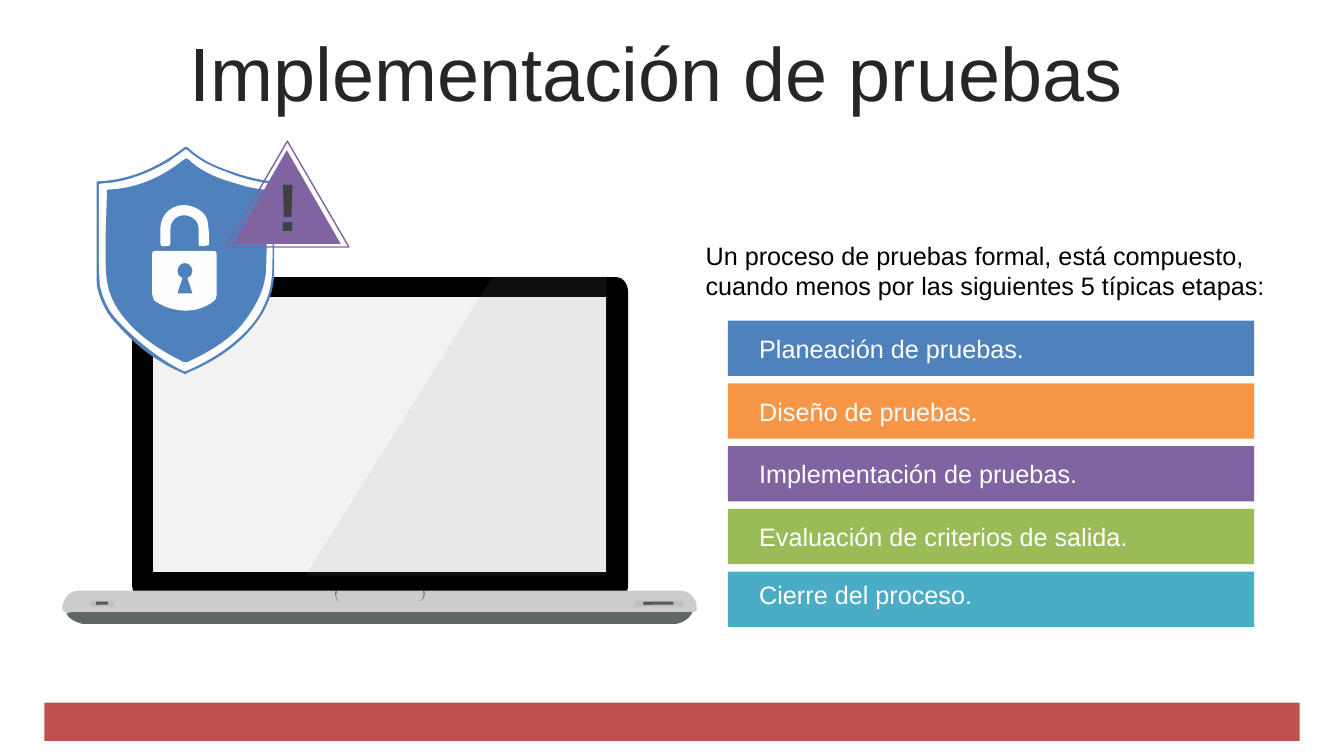
from pptx import Presentation
from pptx.dml.color import RGBColor
from pptx.enum import shapes, text
from pptx.oxml import parse_xml
from pptx.oxml.ns import nsdecls, qn
from pptx.util import Inches, Pt

FONT = "Arial"
WHITE = RGBColor(0xFF, 0xFF, 0xFF)
BLACK = RGBColor(0x00, 0x00, 0x00)
TITLE_INK = RGBColor(0x26, 0x26, 0x26)
MARK_INK = RGBColor(0x40, 0x40, 0x40)
RED = RGBColor(0xC0, 0x50, 0x4D)
BLUE = RGBColor(0x4F, 0x81, 0xBD)
ORANGE = RGBColor(0xF7, 0x96, 0x46)
PURPLE = RGBColor(0x80, 0x64, 0xA2)
GREEN = RGBColor(0x9B, 0xBB, 0x59)
TEAL = RGBColor(0x4B, 0xAC, 0xC6)
SHIELD_WHITE = RGBColor(0xFE, 0xFE, 0xFE)
UNDERSIDE_GRAY = RGBColor(0x5F, 0x67, 0x67)
SCREEN_GRAY = RGBColor(0xF2, 0xF2, 0xF2)
BASE_GRAY = RGBColor(0xCC, 0xCC, 0xCC)
NOTCH_GRAY = RGBColor(0x4D, 0x4D, 0x4D)
PORT_GRAY = RGBColor(0xBF, 0xBF, 0xBF)
SLOT_GRAY = RGBColor(0x59, 0x59, 0x59)
GLARE_GRAY = RGBColor(0x99, 0x99, 0x99)

# Outlines in inches from the corner of their region: M move, L line, C cubic curve.
UNDERSIDE = """M 6.1 3.49 C 6.1 3.49 6.22 3.48 6.27 3.37 C 6.27 3.34 6.25 3.32 6.21 3.32
    L .2 3.34 L .12 3.34 C .09 3.34 .06 3.36 .06 3.39 C .1 3.46 .18 3.48 .22 3.49"""
LID = """M 5.63 3.1 C 5.63 3.18 5.58 3.25 5.52 3.25 L .82 3.25 C .76 3.25 .71 3.18 .71 3.1
    L .71 .2 C .71 .12 .76 .05 .82 .05 L 5.52 .05 C 5.58 .05 5.63 .12 5.63 .2"""
SCREEN = "M .92 .25 L 5.41 .25 L 5.41 2.98 L .92 2.98"
BASE = """M .18 3.16 L 6.15 3.16 C 6.24 3.16 6.31 3.24 6.31 3.32 L 6.31 3.35
    C 6.31 3.35 6.32 3.38 6.25 3.37 L .11 3.37 C .09 3.37 .09 3.37 .08 3.38
    C .06 3.38 .03 3.38 .02 3.35 L .02 3.32 C .03 3.23 .09 3.16 .18 3.16"""
NOTCH = """M 3.6 3.16 L 3.61 3.16 C 3.62 3.25 3.57 3.26 3.55 3.26 C 3.58 3.26 3.61 3.24 3.6 3.17
    M 2.73 3.16 L 2.74 3.17 C 2.74 3.17 2.71 3.24 2.77 3.27 C 2.71 3.25 2.73 3.16 2.73 3.16"""
GLARE = "M 4.29 .04 L 5.42 .04 L 5.42 3.01 L 2.43 3.01"
SHIELD_EDGE = """M .93 2.31 C .85 2.27 .77 2.24 .7 2.19 C .5 2.08 .31 1.88 .2 1.75
    C .11 1.63 .06 1.47 .06 1.4 L .06 .4 C .39 .39 .67 .26 .92 .07 C .94 .05 .95 .05 .97 .07
    C 1.09 .18 1.23 .25 1.39 .3 C 1.52 .35 1.65 .38 1.79 .4 C 1.81 .4 1.83 .4 1.83 .43
    C 1.82 .72 1.82 1 1.82 1.29 C 1.82 1.54 1.71 1.74 1.55 1.91
    C 1.39 2.08 1.19 2.2 .98 2.29 C .97 2.3 .95 2.3 .94 2.31"""
SHIELD_BAND = """M .08 .91 L .08 .45 C .08 .43 .08 .42 .11 .42 C .35 .41 .57 .32 .78 .2
    C .83 .16 .88 .13 .93 .09 C .94 .08 .95 .08 .96 .09 C 1.07 .19 1.19 .25 1.33 .3
    C 1.47 .36 1.62 .4 1.77 .42 C 1.8 .42 1.81 .43 1.8 .46 C 1.8 .74 1.81 1.03 1.8 1.3
    C 1.79 1.5 1.72 1.67 1.6 1.82 C 1.42 2.03 1.2 2.17 .95 2.28 C .94 2.28 .93 2.29 .92 2.28
    C .66 2.16 .38 1.91 .25 1.76 C .14 1.64 .1 1.48 .09 1.42 C .08 1.27 .08 1.07 .08 .91"""
SHIELD_FIELD = """M 1.74 .51 C 1.74 .64 1.75 .98 1.74 1.24 C 1.74 1.47 1.62 1.67 1.49 1.83
    C 1.36 1.98 1.16 2.1 .96 2.19 C .95 2.19 .94 2.19 .92 2.19 C .7 2.08 .49 1.95 .33 1.75
    C .24 1.64 .18 1.52 .16 1.38 C .13 1.17 .16 .66 .16 .51 C .16 .49 .15 .48 .18 .48
    C .44 .47 .68 .37 .89 .21 C .91 .2 .93 .17 .95 .17 C .97 .17 .98 .2 1 .21
    C 1.13 .32 1.29 .38 1.44 .42 C 1.53 .45 1.62 .47 1.71 .48 C 1.73 .48 1.74 .49 1.74 .51"""
LOCK_BODY = """M .93 1.21 C .89 1.21 .86 1.25 .86 1.29 C .86 1.32 .88 1.35 .91 1.36
    L .86 1.51 L 1.01 1.51 L .96 1.36 C .99 1.35 1.01 1.32 1.01 1.29 C 1.01 1.25 .98 1.21 .93 1.21
    M .64 1.09 L 1.22 1.09 C 1.24 1.09 1.25 1.1 1.25 1.12 L 1.25 1.52
    C 1.25 1.55 1.24 1.56 1.23 1.58 C 1.13 1.66 1.02 1.69 .9 1.68 C .8 1.67 .71 1.64 .63 1.58
    C .62 1.56 .61 1.55 .61 1.52 L .61 1.12 C .61 1.1 .61 1.09 .64 1.09"""
SHACKLE = """M 1.16 .81 C 1.17 .87 1.18 .99 1.17 1.03 C 1.14 1.05 1.12 1.04 1.09 1.04
    C 1.08 1.05 1.07 1.04 1.07 1.02 L 1.07 .87 C 1.07 .8 1.03 .76 .96 .74
    C .87 .72 .79 .78 .79 .87 L .79 1.02 C .79 1.04 .78 1.04 .76 1.04
    C .69 1.05 .69 1.05 .69 .98 L .69 .87 C .69 .72 .82 .61 .97 .64 C 1.08 .66 1.16 .74 1.16 .81"""

STAGES = [
    ("Planeación de pruebas.", BLUE),
    ("Diseño de pruebas.", ORANGE),
    ("Implementación de pruebas.", PURPLE),
    ("Evaluación de criterios de salida.", GREEN),
    ("Cierre del proceso.", TEAL),
]


def paint(shape, fill, line=None):
    shape.shadow.inherit = False
    if fill is None:
        shape.fill.background()
    else:
        shape.fill.solid()
        shape.fill.fore_color.rgb = fill
    if line is None:
        shape.line.fill.background()
    else:
        shape.line.color.rgb = line
        shape.line.width = Pt(1)
    return shape


def add_preset(slide, kind, box, fill, line=None):
    shape = slide.shapes.add_shape(kind, *map(Inches, box))
    return paint(shape, fill, line)


def bend(shape, letters):
    """Turn each run of three segments whose command is C into one cubic curve."""
    segments = iter(list(shape._element.iter(qn("a:lnTo"))))
    for letter in letters:
        segment = next(segments)
        if letter == "C":
            segment.tag = qn("a:cubicBezTo")
            for follower in (next(segments), next(segments)):
                segment.append(follower[0])
                follower.getparent().remove(follower)


def add_outline(slide, left, top, outline, fill):
    """Draw closed contours measured in inches from left, top."""
    contours, letters = [], []
    for command in outline.replace("M", "|M").replace("L", "|L").replace("C", "|C").split("|")[1:]:
        letter, *numbers = command.split()
        values = [float(number) * 1000 for number in numbers]
        points = list(zip(values[::2], values[1::2]))
        if letter == "M":
            contours.append(points)
        else:
            contours[-1] += points
            letters.append(letter)

    builder = slide.shapes.build_freeform(*contours[0][0], scale=Inches(1) / 1000)
    for index, contour in enumerate(contours):
        if index:
            builder.move_to(*contour[0])
        builder.add_line_segments(contour[1:], close=True)
    shape = builder.convert_to_shape(Inches(left), Inches(top))
    bend(shape, letters)
    return paint(shape, fill)


def write(shape, words, size, color, align=text.PP_ALIGN.LEFT, anchor=text.MSO_ANCHOR.MIDDLE, bold=False):
    frame = shape.text_frame
    frame.word_wrap = True
    frame.vertical_anchor = anchor
    paragraph = frame.paragraphs[0]
    paragraph.alignment = align
    run = paragraph.add_run()
    run.text = words
    run.font.name, run.font.size, run.font.bold = FONT, Pt(size), bold
    run.font.color.rgb = color
    return paragraph


def add_title(slide, box):
    title = slide.shapes.add_textbox(*map(Inches, box))
    paragraph = write(title, "Implementación de pruebas", 54, TITLE_INK, text.PP_ALIGN.CENTER)
    paragraph.line_spacing = 0.9


def add_laptop(slide, left, top):
    for outline, fill in ((UNDERSIDE, UNDERSIDE_GRAY), (LID, BLACK), (SCREEN, SCREEN_GRAY),
                          (BASE, BASE_GRAY), (NOTCH, NOTCH_GRAY)):
        add_outline(slide, left, top, outline, fill)
    for x, width, slot_x, slot_width in ((0.3, 0.23, 0.35, 0.12), (5.69, 0.48, 5.78, 0.3)):
        for box, fill in (((left + x, top + 3.26, width, 0.06), PORT_GRAY),
                          ((left + slot_x, top + 3.27, slot_width, 0.03), SLOT_GRAY)):
            port = add_preset(slide, shapes.MSO_SHAPE.ROUNDED_RECTANGLE, box, fill)
            port.adjustments[0] = 0.28
    glare = add_outline(slide, left, top, GLARE, GLARE_GRAY)
    color = glare.fill._xPr.find(qn("a:solidFill"))[0]
    color.append(parse_xml(f'<a:alpha {nsdecls("a")} val="10000"/>'))


def add_shield(slide, left, top):
    for outline, fill in ((SHIELD_EDGE, BLUE), (SHIELD_BAND, SHIELD_WHITE), (SHIELD_FIELD, BLUE),
                          (LOCK_BODY, SHIELD_WHITE), (SHACKLE, SHIELD_WHITE)):
        add_outline(slide, left, top, outline, fill)


def add_warning(slide, left, top):
    triangle = shapes.MSO_SHAPE.ISOSCELES_TRIANGLE
    add_preset(slide, triangle, (left + 0.07, top + 0.09, 1.07, 0.93), PURPLE)
    add_preset(slide, triangle, (left, top, 1.22, 1.05), None, PURPLE)
    mark = slide.shapes.add_textbox(*map(Inches, (left + 0.28, top + 0.05, 0.67, 1.15)))
    write(mark, "!", 48, MARK_INK, text.PP_ALIGN.CENTER, bold=True)


def add_intro(slide, box):
    intro = slide.shapes.add_textbox(*map(Inches, box))
    write(intro, "Un proceso de pruebas formal, está compuesto, cuando menos por las siguientes "
          "5 típicas etapas:", 18, BLACK, anchor=text.MSO_ANCHOR.TOP)


def add_stages(slide, left, top, width, height):
    bar_height = 0.55
    pitch = (height - bar_height) / (len(STAGES) - 1)
    for index, (words, fill) in enumerate(STAGES):
        bar = add_preset(slide, shapes.MSO_SHAPE.RECTANGLE,
                         (left, top + index * pitch, width, bar_height), fill)
        write(bar, words, 18, WHITE)
        bar.text_frame.margin_left = Inches(0.31)
    bar.text_frame.margin_bottom = Inches(0.14)  # the last label sits slightly higher


def add_footer(slide, left, top, width, height):
    rectangle = shapes.MSO_SHAPE.RECTANGLE
    add_preset(slide, rectangle, (left, top, width, height), RED)
    add_preset(slide, rectangle, (left + 8.3, top + 0.04, 4.03, 0.27), RED, RED)


def main():
    presentation = Presentation()
    presentation.slide_width, presentation.slide_height = Inches(13.33), Inches(7.5)
    slide = presentation.slides.add_slide(presentation.slide_layouts[6])
    add_footer(slide, 0.44, 6.97, 12.45, 0.38)
    add_laptop(slide, 0.6, 2.7)
    add_title(slide, (0, 0.37, 13.01, 0.79))
    add_shield(slide, 0.9, 1.4)
    add_warning(slide, 2.24, 1.4)
    add_intro(slide, (6.9, 2.33, 6.11, 0.71))
    add_stages(slide, 7.22, 3.18, 5.22, 3.04)
    presentation.save("out.pptx")


if __name__ == "__main__":
    main()
